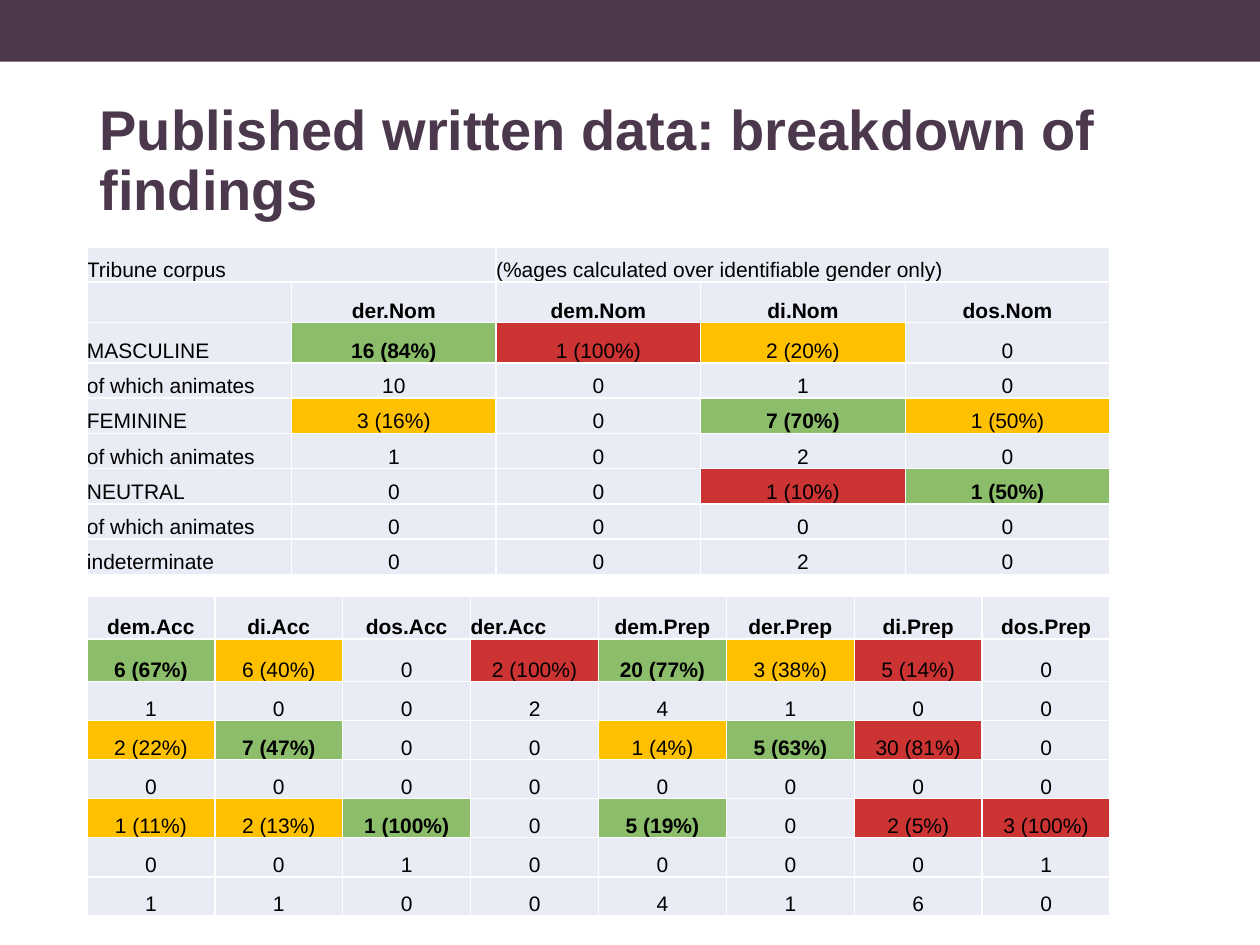
from lxml.etree import SubElement
from pptx import Presentation
from pptx.dml.color import RGBColor
from pptx.enum.shapes import MSO_SHAPE
from pptx.enum.text import MSO_ANCHOR, MSO_AUTO_SIZE, PP_ALIGN
from pptx.oxml.ns import qn
from pptx.util import Inches, Pt

PLUM = RGBColor(0x4B, 0x38, 0x4C)
BLACK = RGBColor(0, 0, 0)
WHITE = RGBColor(0xFF, 0xFF, 0xFF)
PALE = RGBColor(0xE9, 0xEB, 0xF5)
GREEN = RGBColor(0x70, 0xAD, 0x47)
RED = RGBColor(0xC0, 0, 0)
AMBER = RGBColor(0xFF, 0xC0, 0)

TONES = {".": (PALE, 100), "h": (PALE, 100), "g": (GREEN, 80),
         "r": (RED, 80), "a": (AMBER, 100)}
BOLD_TONES = "hg"
LEFT = 0.69
GRID_WIDTH = 8.12

NOMINATIVE = [
    (".....", "Tribune corpus||(%ages calculated over identifiable gender only)||"),
    (".hhhh", "|der.Nom|dem.Nom|di.Nom|dos.Nom"),
    (".gra.", "MASCULINE|16 (84%)|1 (100%)|2 (20%)|0"),
    (".....", "of which animates|10|0|1|0"),
    (".a.ga", "FEMININE|3 (16%)|0|7 (70%)|1 (50%)"),
    (".....", "of which animates|1|0|2|0"),
    ("...rg", "NEUTRAL|0|0|1 (10%)|1 (50%)"),
    (".....", "of which animates|0|0|0|0"),
    (".....", "indeterminate|0|0|2|0"),
]
OBLIQUE = [
    ("hhhhhhhh", "dem.Acc|di.Acc|dos.Acc|der.Acc|dem.Prep|der.Prep|di.Prep|dos.Prep"),
    ("ga.rgar.", "6 (67%)|6 (40%)|0|2 (100%)|20 (77%)|3 (38%)|5 (14%)|0"),
    ("........", "1|0|0|2|4|1|0|0"),
    ("ag..agr.", "2 (22%)|7 (47%)|0|0|1 (4%)|5 (63%)|30 (81%)|0"),
    ("........", "0|0|0|0|0|0|0|0"),
    ("aag.g.rr", "1 (11%)|2 (13%)|1 (100%)|0|5 (19%)|0|2 (5%)|3 (100%)"),
    ("........", "0|0|1|0|0|0|0|1"),
    ("........", "1|1|0|0|4|1|6|0"),
]


def write_text(frame, text, size=12, color=BLACK, bold=False,
               align=PP_ALIGN.CENTER, spacing=None):
    paragraph = frame.paragraphs[0]
    paragraph.alignment = align
    paragraph.line_spacing = spacing
    run = paragraph.add_run()
    run.text = text
    run.font.name = "Arial"
    run.font.size = Pt(size)
    run.font.bold = bold
    run.font.color.rgb = color


def add_band(slide, width, height):
    band = slide.shapes.add_shape(MSO_SHAPE.RECTANGLE, 0, 0, width, height)
    band.shadow.inherit = False
    band.fill.solid()
    band.fill.fore_color.rgb = PLUM
    band.line.fill.background()


def set_title(slide, text):
    title = slide.shapes.title
    title.left, title.top = Inches(LEFT), Inches(0.76)
    title.width, title.height = Inches(8.62), Inches(0.66)
    frame = title.text_frame
    frame.word_wrap = True
    frame.auto_size = MSO_AUTO_SIZE.NONE
    frame.vertical_anchor = MSO_ANCHOR.TOP
    write_text(frame, text, size=32, color=PLUM, bold=True,
               align=PP_ALIGN.LEFT, spacing=0.9)


def style_cell(cell, tone):
    cell.margin_left = cell.margin_right = cell.margin_top = cell.margin_bottom = 0
    cell.vertical_anchor = MSO_ANCHOR.BOTTOM
    properties = cell._tc.get_or_add_tcPr()
    for side in ("lnL", "lnR", "lnT", "lnB"):
        border = SubElement(properties, qn(f"a:{side}"), w=str(Pt(1)))
        ink = SubElement(border, qn("a:solidFill"))
        SubElement(ink, qn("a:srgbClr"), val=str(WHITE))
    color, opacity = TONES[tone]
    cell.fill.solid()
    cell.fill.fore_color.rgb = color
    if opacity < 100:
        swatch = properties.find(qn("a:solidFill")).find(qn("a:srgbClr"))
        SubElement(swatch, qn("a:alpha"), val=str(opacity * 1000))


def add_findings(slide, top, findings, heights, left_cells=(), merges=()):
    columns = len(findings[0][0])
    table = slide.shapes.add_table(
        len(findings), columns, Inches(LEFT), Inches(top),
        Inches(GRID_WIDTH), Inches(sum(heights))).table
    table.first_row = table.horz_banding = False
    for column in table.columns:
        column.width = Inches(GRID_WIDTH / columns)
    for r, ((tones, line), height) in enumerate(zip(findings, heights)):
        table.rows[r].height = Inches(height)
        for c, (tone, text) in enumerate(zip(tones, line.split("|"))):
            cell = table.cell(r, c)
            style_cell(cell, tone)
            if text:
                align = PP_ALIGN.LEFT if (r, c) in left_cells else PP_ALIGN.CENTER
                write_text(cell.text_frame, text, bold=tone in BOLD_TONES, align=align)
    for first, last in merges:
        table.cell(0, first).merge(table.cell(0, last))


def main():
    deck = Presentation()
    deck.slide_width, deck.slide_height = Inches(10), Inches(7.5)
    slide = deck.slides.add_slide(deck.slide_layouts[5])
    add_band(slide, deck.slide_width, Inches(0.49))
    set_title(slide, "Published written data: breakdown of findings")
    row_labels = [(r, 0) for r in range(len(NOMINATIVE))]
    add_findings(slide, 1.96, NOMINATIVE, [0.28] + [0.32] * 2 + [0.28] * 6,
                 left_cells=row_labels + [(0, 2)], merges=[(0, 1), (2, 4)])
    add_findings(slide, 4.73, OBLIQUE, [0.34] * 2 + [0.31] * 6, left_cells=[(0, 3)])
    deck.save("out.pptx")


if __name__ == "__main__":
    main()
